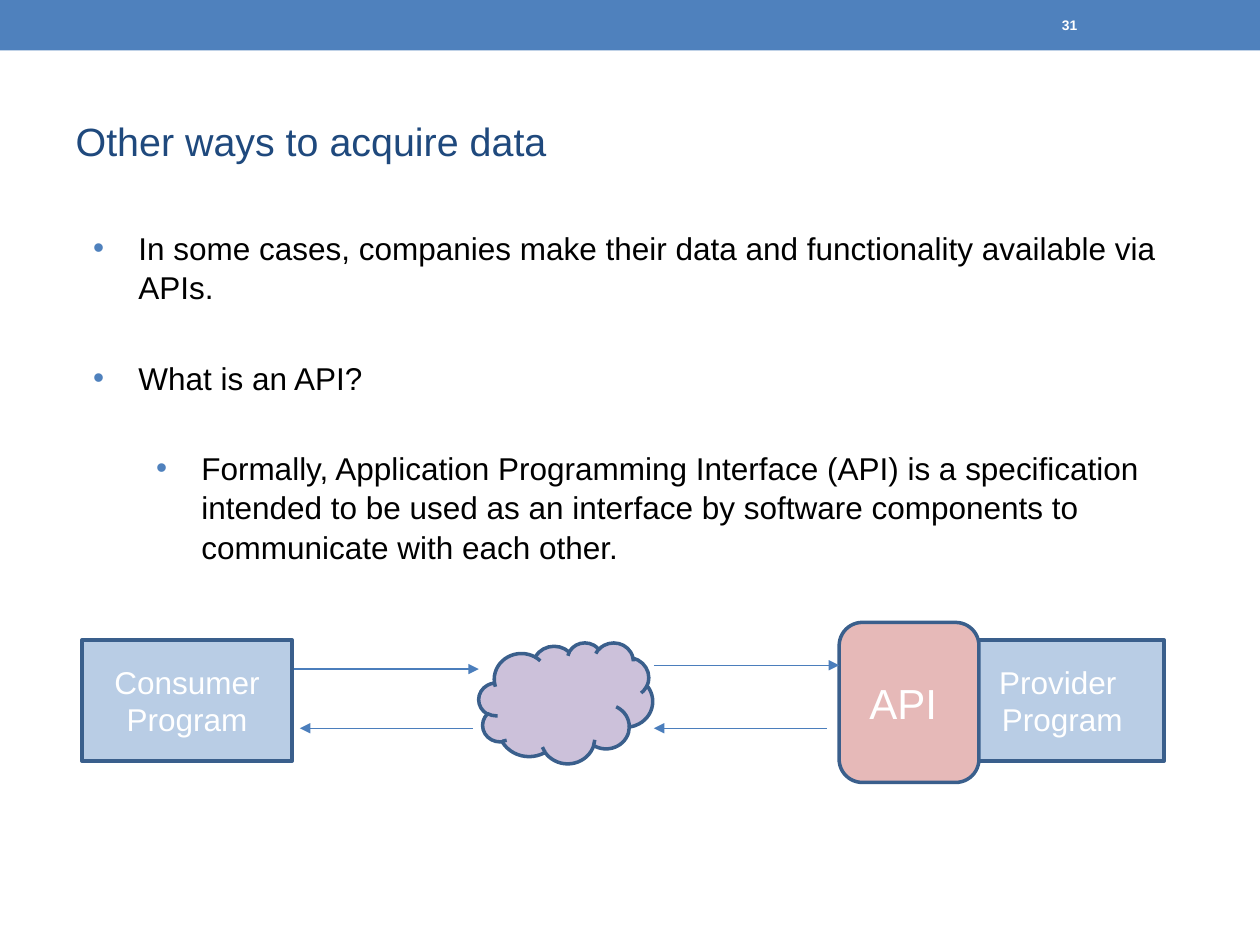
from dataclasses import dataclass

from lxml.etree import SubElement
from pptx import Presentation
from pptx.dml.color import RGBColor
from pptx.enum.shapes import MSO_CONNECTOR as Connector, MSO_SHAPE as Shape
from pptx.enum.text import MSO_ANCHOR as Anchor, PP_ALIGN as Align
from pptx.oxml.ns import qn
from pptx.util import Inches, Pt


@dataclass(frozen=True)
class Theme:
    font: str = "Arial"
    accent: str = "4F81BD"
    title: str = "1F497D"
    body: str = "000000"
    light: str = "FFFFFF"
    program: str = "B9CDE5"
    network: str = "CCC1DA"
    interface: str = "E6B9B8"
    outline: str = "3A5F8C"
    arrow: str = "4B7EBC"
    title_size: float = 22.5
    body_size: float = 18
    api_size: float = 24
    number_size: float = 7.9
    outline_width: float = 2
    arrow_width: float = 0.75


class SlideBuilder:
    def __init__(self, slide, theme):
        self.slide = slide
        self.theme = theme

    def format_text(self, frame, size, color, align=Align.LEFT, anchor=Anchor.MIDDLE, bold=False):
        frame.word_wrap = True
        frame.vertical_anchor = anchor
        for paragraph in frame.paragraphs:
            paragraph.alignment = align
            for run in paragraph.runs:
                run.font.name = self.theme.font
                run.font.size = Pt(size)
                run.font.bold = bold
                run.font.color.rgb = RGBColor.from_string(color)

    def title(self, text, left, top, width, height):
        heading = self.slide.shapes.title
        heading.left, heading.top = Inches(left), Inches(top)
        heading.width, heading.height = Inches(width), Inches(height)
        heading.text_frame.text = text
        self.format_text(heading.text_frame, self.theme.title_size, self.theme.title)

    def text_box(self, text, left, top, width, height):
        box = self.slide.shapes.add_textbox(Inches(left), Inches(top), Inches(width), Inches(height))
        box.text_frame.text = text
        return box.text_frame

    def page_number(self, text, left, top, width, height):
        frame = self.text_box(text, left, top, width, height)
        self.format_text(frame, self.theme.number_size, self.theme.light, bold=True)

    def bullets(self, items, left, top, width, height):
        frame = self.text_box("\n".join(text for text, _ in items), left, top, width, height)
        self.format_text(frame, self.theme.body_size, self.theme.body, anchor=Anchor.TOP)
        for index, (paragraph, (_, level)) in enumerate(zip(frame.paragraphs, items)):
            paragraph.level = level
            paragraph.line_spacing = 1.05
            paragraph.space_before = Pt(28.9 if index else 3.6)
            properties = paragraph._p.get_or_add_pPr()
            properties.set("marL", str(Inches(0.5 * (level + 1))))
            properties.set("indent", str(Inches(-0.36)))
            bullet_color = SubElement(properties, qn("a:buClr"))
            SubElement(bullet_color, qn("a:srgbClr"), val=self.theme.accent)
            SubElement(properties, qn("a:buFont"), typeface=self.theme.font)
            SubElement(properties, qn("a:buChar"), char="•")

    def block(self, kind, left, top, width, height, fill, text="", size=None, outlined=True):
        block = self.slide.shapes.add_shape(
            kind, Inches(left), Inches(top), Inches(width), Inches(height))
        block.shadow.inherit = False
        block.fill.solid()
        block.fill.fore_color.rgb = RGBColor.from_string(fill)
        if outlined:
            block.line.color.rgb = RGBColor.from_string(self.theme.outline)
            block.line.width = Pt(self.theme.outline_width)
        else:
            block.line.fill.background()
        if text:
            block.text_frame.text = text
            self.format_text(block.text_frame, size or self.theme.body_size,
                             self.theme.light, Align.CENTER)

    def arrow(self, start, end, y):
        arrow = self.slide.shapes.add_connector(
            Connector.STRAIGHT, Inches(start), Inches(y), Inches(end), Inches(y))
        arrow.line.color.rgb = RGBColor.from_string(self.theme.arrow)
        arrow.line.width = Pt(self.theme.arrow_width)
        SubElement(arrow.line._get_or_add_ln(), qn("a:tailEnd"), type="triangle")
        SubElement(arrow._element.spPr, qn("a:effectLst"))


def main():
    presentation = Presentation()
    presentation.slide_width, presentation.slide_height = Inches(10), Inches(7.5)
    theme = Theme()
    slide = presentation.slides.add_slide(presentation.slide_layouts[5])
    builder = SlideBuilder(slide, theme)

    builder.block(Shape.RECTANGLE, 0, 0, 10, 0.4, theme.accent, outlined=False)
    builder.title("Other ways to acquire data", 0.5, 0.58, 9, 1.08)
    builder.bullets([
        ("In some cases, companies make their data and functionality available via APIs.", 0),
        ("What is an API?", 0),
        ("Formally, Application Programming Interface (API) is a specification intended "
         "to be used as an interface by software components to communicate with each other.", 1),
    ], 0.5, 1.75, 9, 5.33)
    builder.page_number("31", 8.33, 0.02, 1.17, 0.36)

    builder.block(Shape.RECTANGLE, 0.65, 5.08, 1.67, 0.96, theme.program, "Consumer Program")
    builder.block(Shape.RECTANGLE, 7.62, 5.08, 1.62, 0.96, theme.program, "Provider \nProgram")
    builder.block(Shape.CLOUD, 3.8, 5.1, 1.38, 0.96, theme.network)
    builder.block(Shape.ROUNDED_RECTANGLE, 6.66, 4.94, 1.11, 1.27, theme.interface,
                  "API ", theme.api_size)

    for start, end, y in [(2.33, 3.8, 5.31), (3.75, 2.38, 5.78),
                          (6.56, 5.19, 5.78), (5.19, 6.66, 5.28)]:
        builder.arrow(start, end, y)

    presentation.save("out.pptx")


if __name__ == "__main__":
    main()
